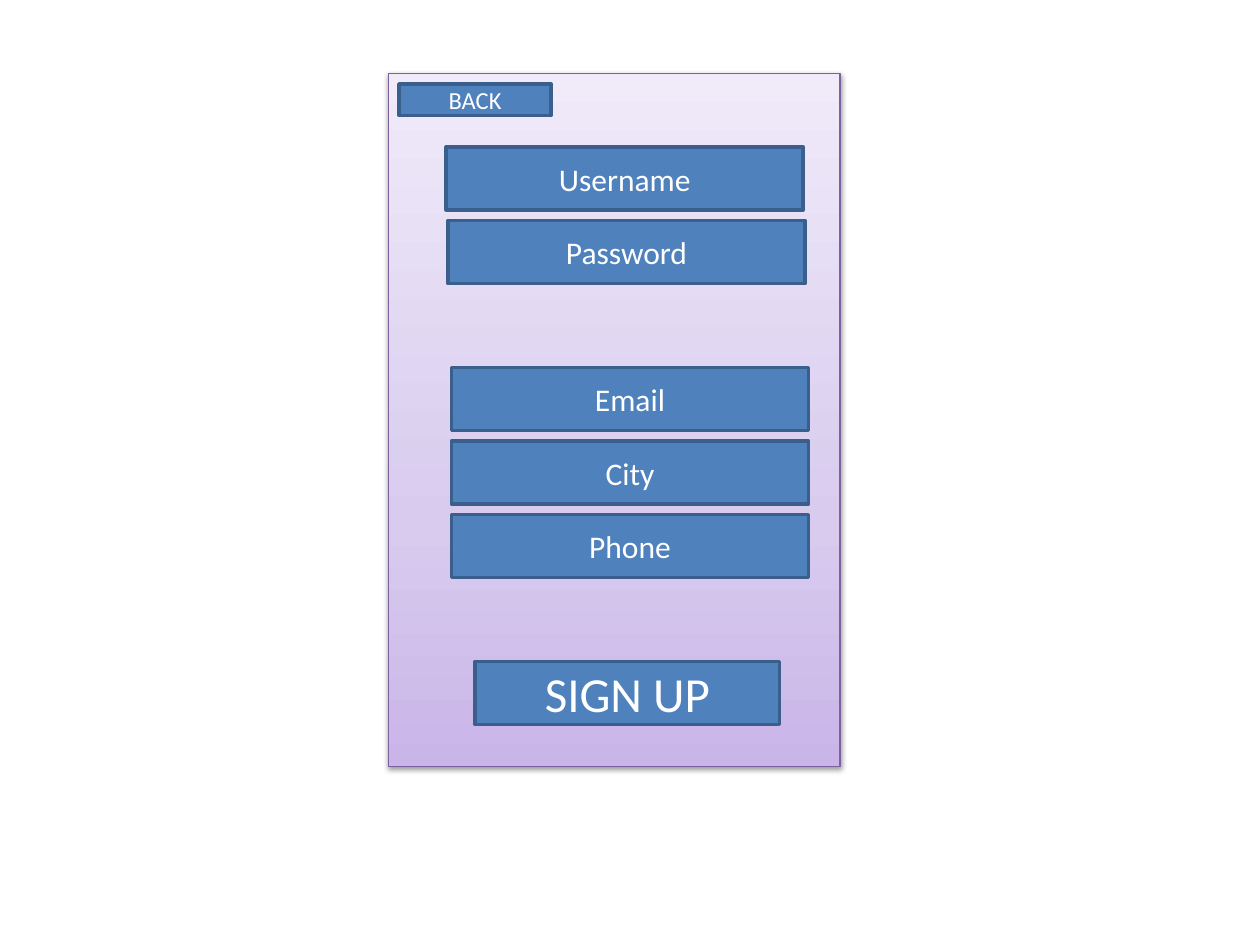
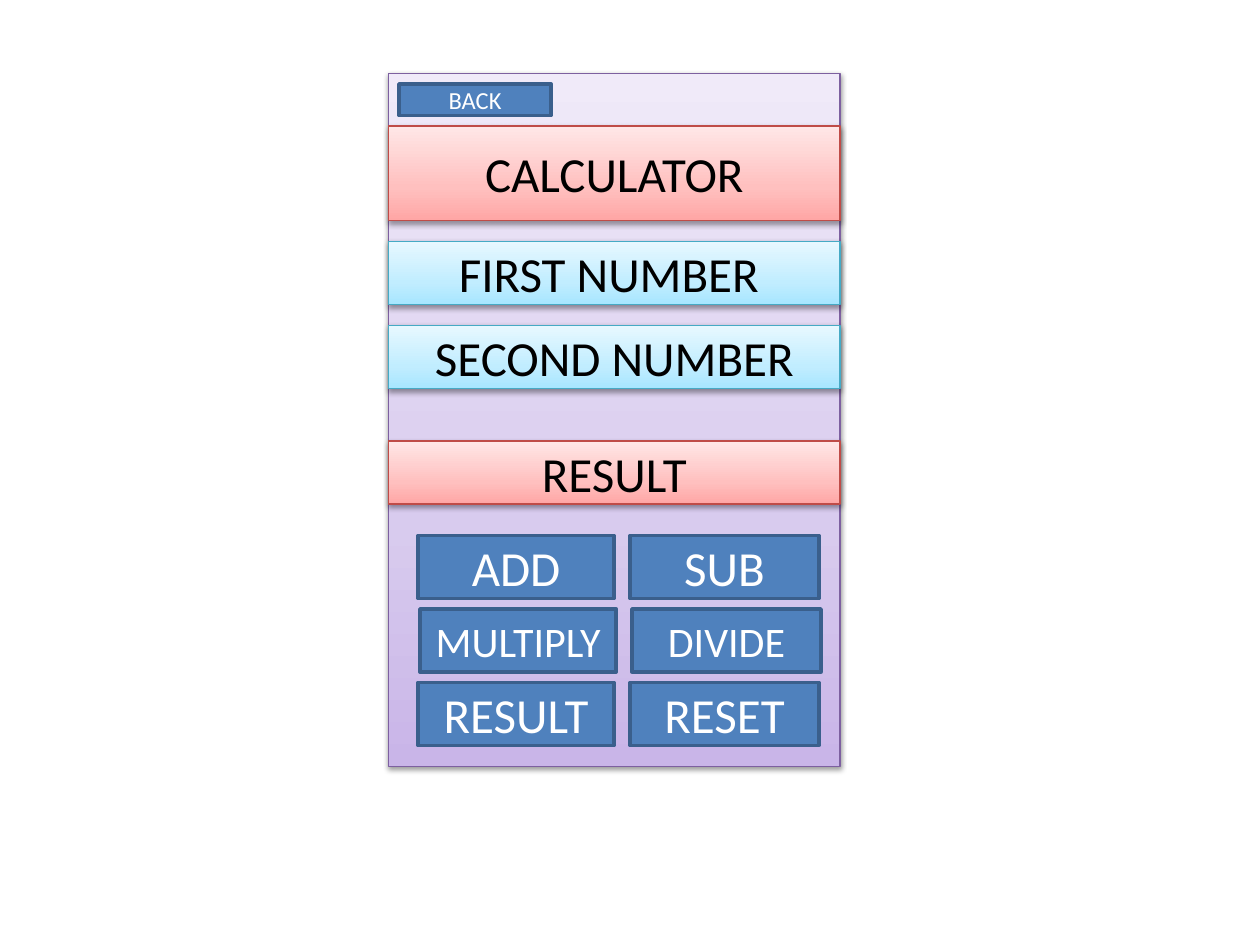
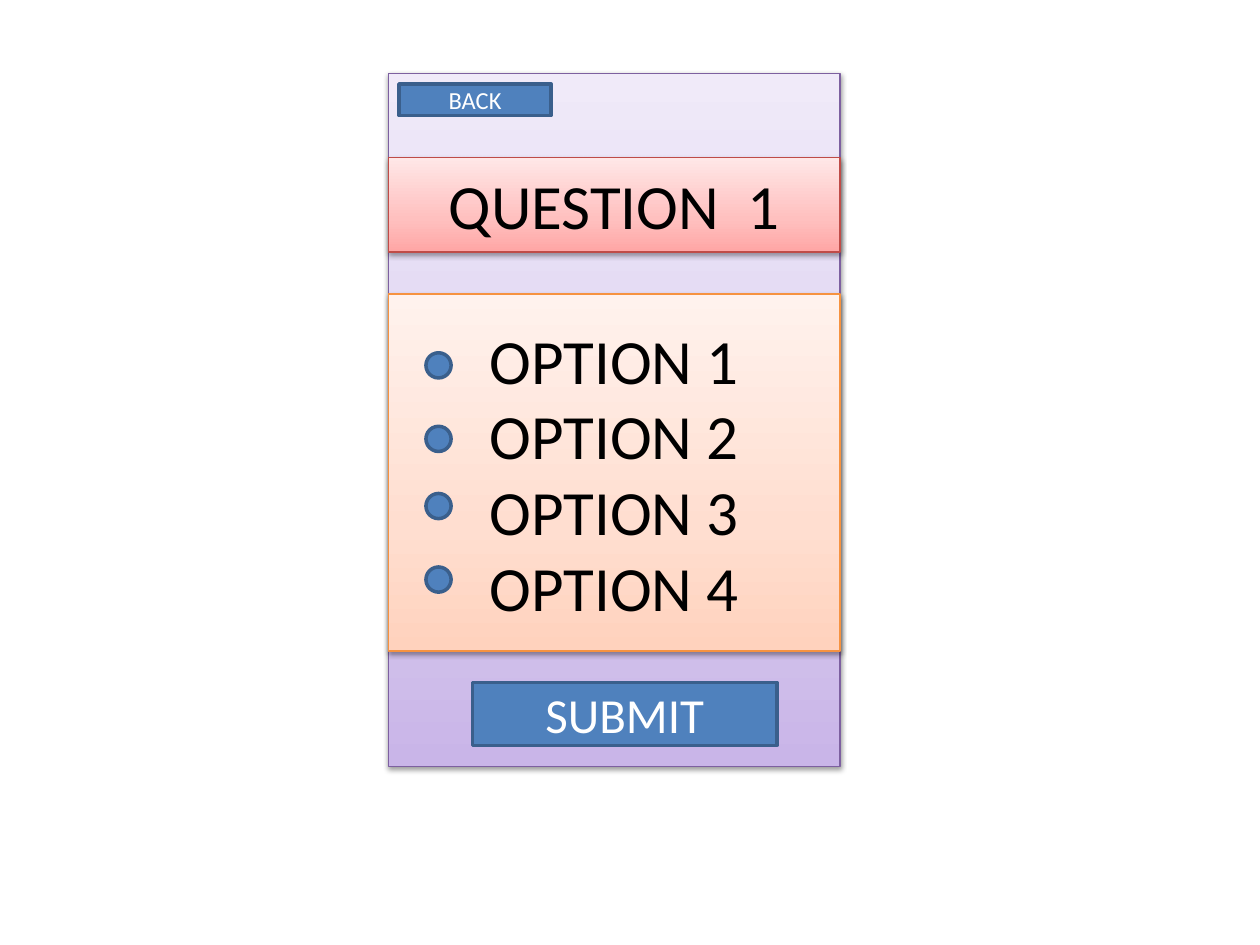
from copy import deepcopy

from lxml import etree
from pptx import Presentation
from pptx.dml.color import RGBColor
from pptx.enum.shapes import MSO_SHAPE
from pptx.enum.text import MSO_ANCHOR, PP_ALIGN
from pptx.oxml.ns import qn
from pptx.util import Pt

RECTANGLE = MSO_SHAPE.RECTANGLE
OVAL = MSO_SHAPE.OVAL
CENTER = PP_ALIGN.CENTER
MIDDLE = MSO_ANCHOR.MIDDLE

FONT = "Calibri"
BLANK_LAYOUT = 6
COLORS = {
    "button": "4F81BD",
    "button_line": "3A5F8C",
    "button_text": "FFFFFF",
    "band_text": "000000",
    "shadow": "000000",
}
GRADIENTS = {
    "purple": ("C9B5E8", "D8CBEE", "F0EAF9"),
    "red": ("FFA6A5", "FFC0BF", "FFE7E7"),
    "cyan": ("A7E6FF", "C1EDFF", "E7F8FF"),
    "orange": ("FFD2BD", "FFDED0", "FFF2ED"),
}
GRADIENT_LINES = {
    "purple": "7D60A0",
    "red": "BF4C48",
    "cyan": "46AAC5",
    "orange": "F69240",
}
STOP_POSITIONS = (0, 0.35, 1)

PANEL_LEFT, PANEL_TOP, PANEL_WIDTH, PANEL_HEIGHT = 222, 42, 258, 396
BUTTON_HEIGHT = 36
ROW_PITCH = 42
FIELD_WIDTH = 204
ACTION_WIDTH = 174
DOT_SIZE = 14.4


def add_outlined(page, kind, left, top, width, height, line_color, line_width):
    shape = page.shapes.add_shape(kind, Pt(left), Pt(top), Pt(width), Pt(height))
    shape.shadow.inherit = False
    shape.line.color.rgb = RGBColor.from_string(line_color)
    shape.line.width = Pt(line_width)
    return shape


def write_text(shape, text, size, color):
    frame = shape.text_frame
    frame.text = text
    frame.word_wrap = True
    frame.vertical_anchor = MIDDLE
    frame.margin_top = frame.margin_bottom = Pt(0)
    for paragraph in frame.paragraphs:
        paragraph.alignment = CENTER
        for span in paragraph.runs:
            span.font.name = FONT
            span.font.size = Pt(size)
            span.font.color.rgb = RGBColor.from_string(color)


def fill_gradient(shape, colors):
    shape.fill.gradient()
    shape.fill.gradient_angle = 90
    stop_list = shape._element.spPr.find(qn("a:gradFill")).find(qn("a:gsLst"))
    stop_list.append(deepcopy(stop_list[0]))
    for stop, position, color in zip(shape.fill.gradient_stops, STOP_POSITIONS, colors):
        stop.position = position
        stop.color.rgb = RGBColor.from_string(color)


def add_shadow(shape):
    effects = shape._element.spPr.find(qn("a:effectLst"))
    shadow = etree.SubElement(
        effects, qn("a:outerShdw"), blurRad=str(Pt(3.15)), dist=str(Pt(1.57)),
        dir="5400000", rotWithShape="0")
    color = etree.SubElement(shadow, qn("a:srgbClr"), val=COLORS["shadow"])
    etree.SubElement(color, qn("a:alpha"), val="38000")


def add_solid(page, kind, left, top, width, height):
    shape = add_outlined(page, kind, left, top, width, height, COLORS["button_line"], 2)
    shape.fill.solid()
    shape.fill.fore_color.rgb = RGBColor.from_string(COLORS["button"])
    return shape


def add_button(page, text, left, top, width, size=28, height=BUTTON_HEIGHT):
    button = add_solid(page, RECTANGLE, left, top, width, height)
    write_text(button, text, size, COLORS["button_text"])


def add_band(page, theme, top, height, text="", size=28):
    band = add_outlined(page, RECTANGLE, PANEL_LEFT, top, PANEL_WIDTH, height,
                        GRADIENT_LINES[theme], 0.75)
    fill_gradient(band, GRADIENTS[theme])
    add_shadow(band)
    if text:
        write_text(band, text, size, COLORS["band_text"])


def add_screen(deck):
    page = deck.slides.add_slide(deck.slide_layouts[BLANK_LAYOUT])
    add_band(page, "purple", PANEL_TOP, PANEL_HEIGHT)
    add_button(page, "BACK", 228, 48, 87, 14, 18)
    return page


def build_sign_up(deck):
    page = add_screen(deck)
    fields = [("Username", 255, 0), ("Password", 256, 1),
              ("Email", 258, 3), ("City", 258, 4), ("Phone", 258, 5)]
    for label, left, row in fields:
        add_button(page, label, left, 84 + row * ROW_PITCH, FIELD_WIDTH, 18)
    add_button(page, "SIGN UP", 271.5, 378, ACTION_WIDTH)


def build_calculator(deck):
    page = add_screen(deck)
    add_band(page, "red", 72, 54, "CALCULATOR")
    add_band(page, "cyan", 138, 36, "FIRST NUMBER ")
    add_band(page, "cyan", 186, 36, "SECOND NUMBER")
    add_band(page, "red", 252, 36, "RESULT")
    key_rows = [("ADD", "SUB", 0, 28), ("MULTIPLY", "DIVIDE", 1.2, 24),
                ("RESULT", "RESET", 0, 28)]
    for row, (first, second, shift, size) in enumerate(key_rows):
        top = 306 + row * ROW_PITCH
        add_button(page, first, 238.8 + shift, top, 112.2, size)
        add_button(page, second, 360 + shift, top, 108, size)


def build_question(deck):
    page = add_screen(deck)
    add_band(page, "red", 90, 54, "QUESTION  1", 36)
    options = "\n".join(f"OPTION {number}" for number in range(1, 5))
    add_band(page, "orange", 168, 204, options, 36)
    for top in (201.6, 243.6, 282, 324):
        add_solid(page, OVAL, 243.4, top, DOT_SIZE, DOT_SIZE)
    add_button(page, "SUBMIT", 270, 390, ACTION_WIDTH)


def main():
    deck = Presentation()
    deck.slide_width = Pt(720)
    deck.slide_height = Pt(540)
    build_sign_up(deck)
    build_calculator(deck)
    build_question(deck)
    deck.save("out.pptx")


main()
